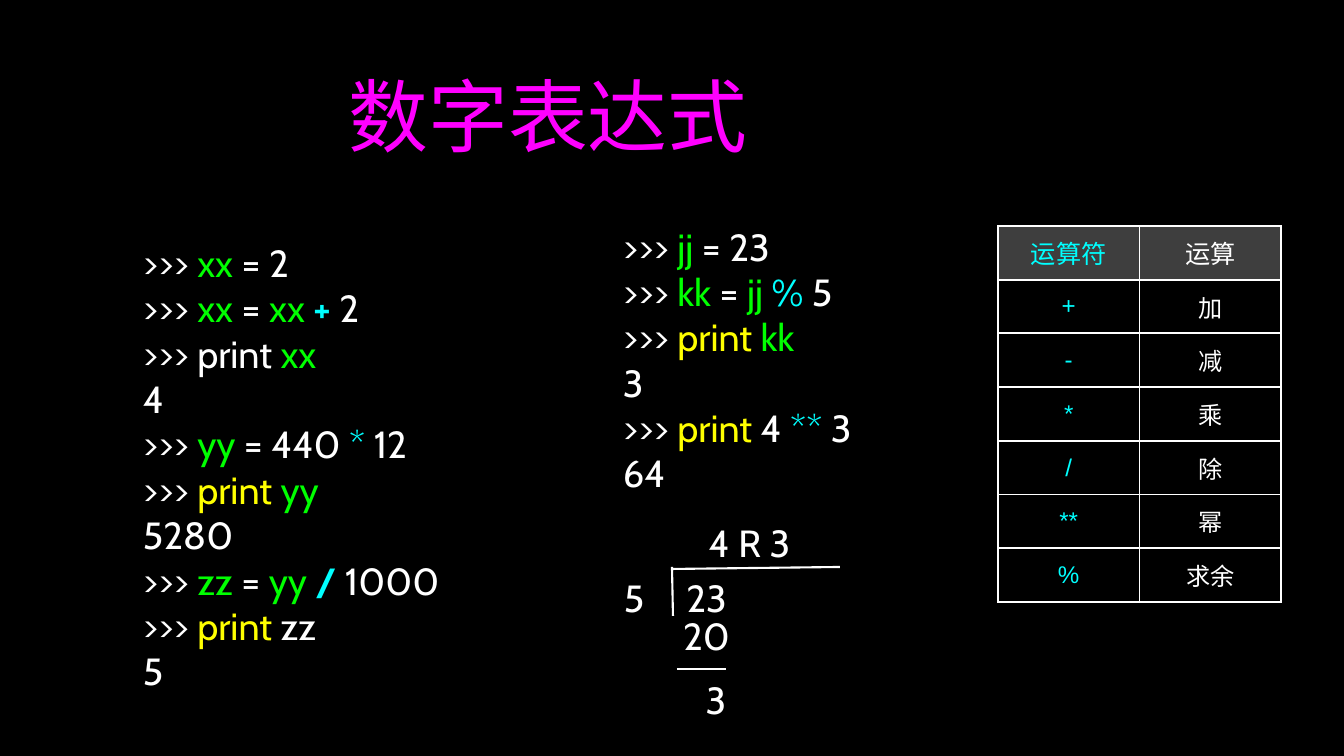
"""Build the slide on numeric expressions: two code sessions, a long division and an operator table."""
from dataclasses import dataclass

from lxml.etree import SubElement
from pptx import Presentation
from pptx.dml.color import RGBColor
from pptx.enum.shapes import MSO_CONNECTOR as Connector
from pptx.enum.text import MSO_ANCHOR as Anchor, PP_ALIGN as Align
from pptx.oxml.ns import qn
from pptx.util import Pt

TITLE = "数字表达式"
PROMPT = (">>> ", "plain")
EQUALS = (" = ", "plain")
PRINT = ("print ", "keyword")

ARITHMETIC = [
    [PROMPT, ("xx", "name"), (" = 2", "plain")],
    [PROMPT, ("xx", "name"), EQUALS, ("xx ", "name"), ("+", "strong"), (" 2", "plain")],
    [(">>> print ", "plain"), ("xx", "name")],
    [("4", "plain")],
    [PROMPT, ("yy", "name"), (" = 440 ", "plain"), ("*", "operator"), (" 12", "plain")],
    [PROMPT, PRINT, ("yy", "name")],
    [("5280", "plain")],
    [PROMPT, ("zz", "name"), EQUALS, ("yy ", "name"), ("/", "strong"), (" 1000", "plain")],
    [PROMPT, ("print", "keyword"), (" zz", "plain")],
    [("5", "plain")],
]
REMAINDER = [
    [(">>>", "plain"), (" jj", "name"), (" = 23", "plain")],
    [PROMPT, ("kk", "name"), EQUALS, ("jj ", "name"), ("% ", "operator"), ("5", "plain")],
    [PROMPT, PRINT, ("kk", "name")],
    [("3", "plain")],
    [PROMPT, ("print", "keyword"), (" 4 ", "plain"), ("**", "operator"), (" 3", "plain")],
    [("64", "plain")],
]
SESSIONS = [
    (ARITHMETIC, (143, 247, 301, 439)),
    (REMAINDER, (623, 226, 261, 267)),
]
DIVISION_NUMBERS = [
    ("5", (620, 572, 28, 51)),
    ("23", (683, 572, 47, 51)),
    ("4 R 3", (704, 517, 91, 51)),
    ("20", (683, 610, 47, 51)),
    ("3", (702, 674, 28, 51)),
]
DIVISION_RULES = [
    (672, 567, 673, 616),
    (672, 569, 840, 567),
    (677, 669, 726, 669),
]
OPERATORS = [
    ("运算符", "运算"),
    ("+", "加"),
    ("-", "减"),
    ("*", "乘"),
    ("/", "除"),
    ("**", "幂"),
    ("%", "求余"),
]
SLIDE_SIZE = (1344, 756)
TITLE_BOX = (95, 20, 906, 190)
OPERATOR_BOX = (998, 226, 283, 376)
INSET = 3
EMU_PER_PX = 12095


@dataclass(frozen=True)
class Theme:
    """Colours, fonts and type sizes."""
    background: str = "000000"
    title: str = "FF00FF"
    plain: str = "FFFFFF"
    name: str = "00FF00"
    keyword: str = "FFFF00"
    operator: str = "00FFFF"
    strong: str = "00FFFF"
    header: str = "7F7F7F"
    header_alpha: str = "49000"
    heading_font: str = "Arial"
    code_font: str = "Cabin"
    title_size: int = 76
    code_size: int = 36
    header_size: int = 24
    cell_size: int = 23
    rule: int = 2


THEME = Theme()


def px(*lengths):
    """Turn pixel lengths into EMU."""
    return [length * EMU_PER_PX for length in lengths]


def add_run(paragraph, text, role, font, size):
    """Append one run in the colour of its role."""
    run = paragraph.add_run()
    run.text = text
    run.font.name = font
    run.font.size = Pt(size)
    run.font.bold = role == "strong"
    run.font.color.rgb = RGBColor.from_string(getattr(THEME, role))


def set_margins(holder, inset):
    """Give a text frame or cell equal margins."""
    for side in ("left", "top", "right", "bottom"):
        setattr(holder, f"margin_{side}", inset * EMU_PER_PX)


def add_code(slide, lines, box, align=Align.LEFT):
    """Add a block of coloured code lines."""
    frame = slide.shapes.add_textbox(*px(*box)).text_frame
    frame.word_wrap = True
    frame.vertical_anchor = Anchor.MIDDLE
    set_margins(frame, 0)
    for index, line in enumerate(lines):
        paragraph = frame.add_paragraph() if index else frame.paragraphs[0]
        paragraph.alignment = align
        for text, role in line:
            add_run(paragraph, text, role, THEME.code_font, THEME.code_size)


def add_title(slide):
    """Place and format the title."""
    title = slide.shapes.title
    title.left, title.top, title.width, title.height = px(*TITLE_BOX)
    frame = title.text_frame
    frame.vertical_anchor = Anchor.MIDDLE
    set_margins(frame, INSET)
    frame.paragraphs[0].alignment = Align.CENTER
    add_run(frame.paragraphs[0], TITLE, "title", THEME.heading_font, THEME.title_size)


def add_rule(slide, ends):
    """Draw one stroke of the long division."""
    rule = slide.shapes.add_connector(Connector.STRAIGHT, *px(*ends))
    rule.line.color.rgb = RGBColor.from_string(THEME.plain)
    rule.line.width = Pt(THEME.rule)
    SubElement(rule.element.spPr, qn("a:effectLst"))


def add_borders(cell):
    """Outline a cell on all four sides."""
    properties = cell._tc.get_or_add_tcPr()
    for side in ("lnL", "lnR", "lnT", "lnB"):
        border = SubElement(properties, qn(f"a:{side}"), w=str(Pt(THEME.rule)))
        SubElement(SubElement(border, qn("a:solidFill")), qn("a:srgbClr"), val=THEME.plain)


def fill_header(cell):
    """Give a header cell its translucent fill."""
    cell.fill.solid()
    cell.fill.fore_color.rgb = RGBColor.from_string(THEME.header)
    shade = cell._tc.tcPr.find(qn("a:solidFill")).find(qn("a:srgbClr"))
    SubElement(shade, qn("a:alpha"), val=THEME.header_alpha)


def add_operators(slide):
    """Add the table of operators."""
    table = slide.shapes.add_table(len(OPERATORS), 2, *px(*OPERATOR_BOX)).table
    table.first_row = table.horz_banding = False
    for row, entry in enumerate(OPERATORS):
        size = THEME.cell_size if row else THEME.header_size
        for column, (text, role) in enumerate(zip(entry, ("operator", "plain"))):
            cell = table.cell(row, column)
            set_margins(cell, INSET)
            cell.vertical_anchor = Anchor.MIDDLE
            add_borders(cell)
            if row:
                cell.fill.background()
            else:
                fill_header(cell)
            paragraph = cell.text_frame.paragraphs[0]
            paragraph.alignment = Align.CENTER
            add_run(paragraph, text, role, THEME.heading_font, size)


def main():
    """Assemble and save the slide."""
    deck = Presentation()
    deck.slide_width, deck.slide_height = px(*SLIDE_SIZE)
    slide = deck.slides.add_slide(deck.slide_layouts[5])
    slide.background.fill.solid()
    slide.background.fill.fore_color.rgb = RGBColor.from_string(THEME.background)
    add_title(slide)
    for lines, box in SESSIONS:
        add_code(slide, lines, box)
    add_operators(slide)
    for ends in DIVISION_RULES:
        add_rule(slide, ends)
    for number, box in DIVISION_NUMBERS:
        add_code(slide, [[(number, "plain")]], box, Align.CENTER)
    deck.save("out.pptx")


if __name__ == "__main__":
    main()
